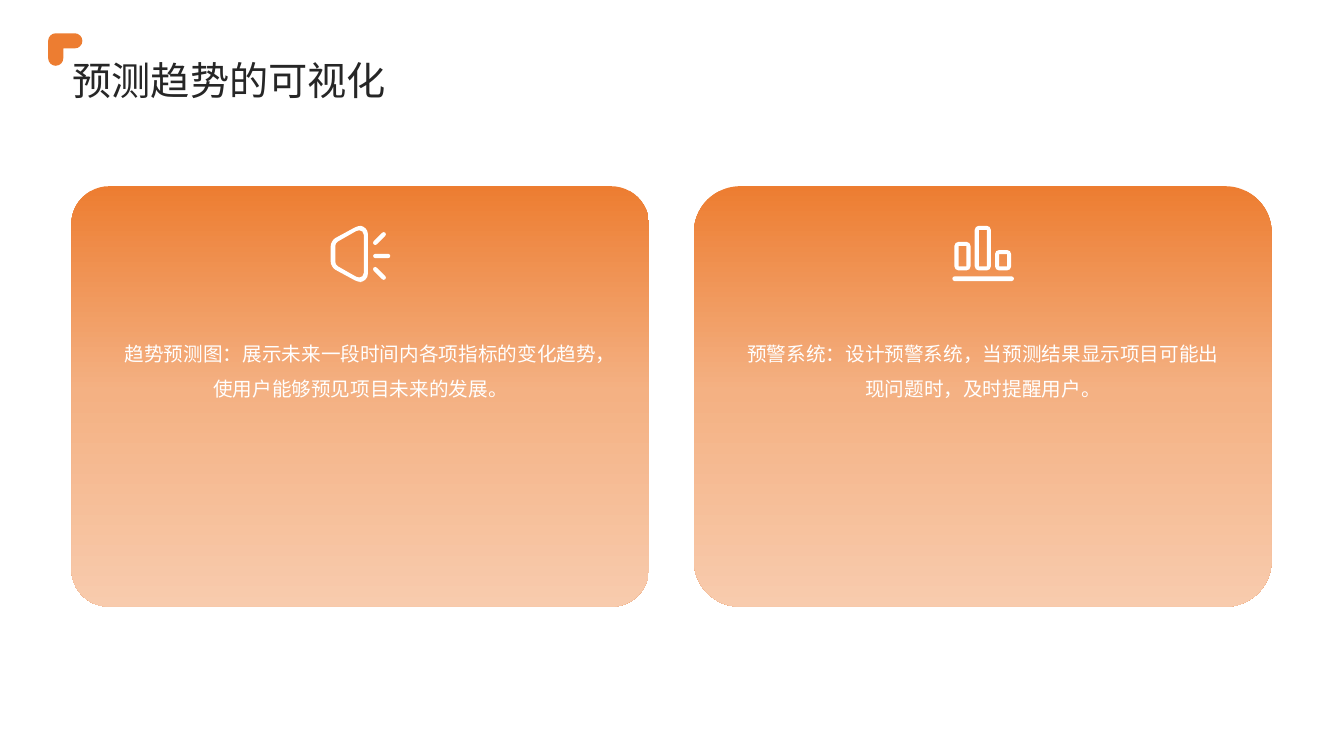
from dataclasses import dataclass
from math import hypot

from lxml.etree import Element, SubElement
from pptx import Presentation
from pptx.dml.color import RGBColor
from pptx.enum.shapes import MSO_SHAPE
from pptx.enum.text import MSO_ANCHOR, PP_ALIGN
from pptx.oxml.ns import qn
from pptx.util import Pt

COLORS = {"accent": "ED7D31", "middle": "F4B183", "pale": "F8CBAD",
          "title": "262626", "white": "FFFFFF"}
GRADIENT = ((0, "accent"), (49, "middle"), (100, "pale"))
FONT = "Noto Sans CJK SC"
KAPPA = 0.55

Point = tuple[float, float]
Corner = tuple[float, float, float]  # x, y, rounding
Outline = list[list[Point]]  # one point: straight step; three points: curve


@dataclass
class Card:
    text: str
    rounding: float
    icon: list[Outline]


@dataclass
class Caption:
    text: str
    left: float
    top: float
    width: float
    height: float
    color: str
    size: float
    frame_format: dict
    paragraph_format: dict


def apply_format(target: object, values: dict) -> None:
    for name, value in values.items():
        setattr(target, name, value)


# Outlines with rounded corners
def toward(corner: Corner, goal: Corner, distance: float) -> Point:
    dx, dy = goal[0] - corner[0], goal[1] - corner[1]
    share = distance / hypot(dx, dy)
    return corner[0] + dx * share, corner[1] + dy * share


def rounded(corners: list[Corner]) -> Outline:
    steps: Outline = []
    for i, corner in enumerate(corners):
        before, after = corners[i - 1], corners[(i + 1) % len(corners)]
        cut = corner[2]
        start = toward(corner, before, cut)
        if not steps or hypot(start[0] - steps[-1][-1][0], start[1] - steps[-1][-1][1]) > 0.05:
            steps.append([start])
        if cut:
            handle = cut * (1 - KAPPA)
            steps.append([toward(corner, before, handle), toward(corner, after, handle),
                          toward(corner, after, cut)])
    return steps


def box(left: float, top: float, right: float, bottom: float, cut: float) -> Outline:
    return rounded([(left, top, cut), (right, top, cut),
                    (right, bottom, cut), (left, bottom, cut)])


def capsule(x1: float, y1: float, x2: float, y2: float, width: float = 3.1) -> Outline:
    half = width / 2
    length = hypot(x2 - x1, y2 - y1)
    dx, dy = (x2 - x1) / length * half, (y2 - y1) / length * half
    return rounded([(x1 - dx - dy, y1 - dy + dx, half), (x1 - dx + dy, y1 - dy - dx, half),
                    (x2 + dx + dy, y2 + dy - dx, half), (x2 + dx - dy, y2 + dy + dx, half)])


def horn(left: float, bend: float, right: float, left_half: float, right_half: float,
         cuts: tuple[float, float, float]) -> Outline:
    middle = 181.4
    upper = [(left, -left_half, cuts[0]), (bend, -right_half, cuts[1]),
             (right, -right_half, cuts[2])]
    lower = [(x, -y, cut) for x, y, cut in reversed(upper)]
    return rounded([(x, middle + y, cut) for x, y, cut in upper + lower])


def speaker_icon() -> list[Outline]:
    ray_y = 182.9
    rays = [capsule(268, ray_y + side * 9.4, 274.1, ray_y + side * 15.5) for side in (-1, 1)]
    return [horn(236.2, 255.7, 262.8, 9.5, 20.1, (4, 2.5, 6)),
            horn(239.5, 255.6, 259.9, 7.8, 17, (2, 1.5, 3.5)),
            capsule(268.1, ray_y, 277.2, ray_y), *rays]


def bar_icon() -> list[Outline]:
    stroke, width, bottom = 2.9, 11.5, 193.2
    outlines = []
    for i, top in enumerate((172.8, 161.3, 178.6)):
        left = 681.8 + i * 14.5
        outlines.append(box(left, top, left + width, bottom, stroke))
        outlines.append(box(left + stroke, top + stroke, left + width - stroke,
                            bottom - stroke, 0))
    return [*outlines, capsule(682, 199.1, 722.6, 199.1, 3.4)]


# Drawing
def draw_outlines(slide, outlines: list[Outline], color: str) -> None:
    ends = [[(Pt(step[-1][0]), Pt(step[-1][1])) for step in outline] for outline in outlines]
    builder = slide.shapes.build_freeform(*ends[0][0])
    for i, points in enumerate(ends):
        if i:
            builder.move_to(*points[0])
        builder.add_line_segments(points[1:], close=True)
    figure = builder.convert_to_shape()
    figure.shadow.inherit = False
    figure.fill.solid()
    figure.fill.fore_color.rgb = RGBColor.from_string(COLORS[color])
    figure.line.fill.background()

    # Turn the rounded steps into Bezier curves
    route = figure._element.spPr.find(".//" + qn("a:pathLst"))[0]
    nodes = [node for node in route if node.tag != qn("a:close")]
    steps = [step for outline in outlines for step in outline]
    for node, step in zip(nodes, steps):
        if len(step) == 3:
            curve = Element(qn("a:cubicBezTo"))
            for x, y in step:
                SubElement(curve, qn("a:pt"), x=str(Pt(x) - figure.left),
                           y=str(Pt(y) - figure.top))
            route.replace(node, curve)


def draw_panel(slide, left: float, rounding: float) -> None:
    panel = slide.shapes.add_shape(MSO_SHAPE.ROUNDED_RECTANGLE,
                                   Pt(left), Pt(133), Pt(412.6), Pt(300.4))
    panel.adjustments[0] = rounding
    panel.shadow.inherit = False
    panel.line.fill.background()
    panel.fill.gradient()
    panel.fill.gradient_angle = 270
    stops = panel._element.spPr.find(".//" + qn("a:gsLst"))
    for stop in list(stops):
        stops.remove(stop)
    for percent, color in GRADIENT:
        stop = SubElement(stops, qn("a:gs"), pos=str(percent * 1000))
        SubElement(stop, qn("a:srgbClr"), val=COLORS[color])


def draw_caption(slide, caption: Caption) -> None:
    frame = slide.shapes.add_textbox(Pt(caption.left), Pt(caption.top),
                                     Pt(caption.width), Pt(caption.height)).text_frame
    apply_format(frame, {"word_wrap": True, **caption.frame_format})
    paragraph = frame.paragraphs[0]
    apply_format(paragraph, caption.paragraph_format)
    run = paragraph.add_run()
    run.text = caption.text
    apply_format(run.font, {"name": FONT, "size": Pt(caption.size)})
    run.font.color.rgb = RGBColor.from_string(COLORS[caption.color])
    SubElement(run._r.get_or_add_rPr(), qn("a:ea"), typeface=FONT)


def main() -> None:
    presentation = Presentation()
    apply_format(presentation, {"slide_width": Pt(960), "slide_height": Pt(540)})
    slide = presentation.slides.add_slide(presentation.slide_layouts[6])

    # Cards
    cards = [
        Card("趋势预测图：展示未来一段时间内各项指标的变化趋势，使用户能够预见项目未来的发展。",
             0.09, speaker_icon()),
        Card("预警系统：设计预警系统，当预测结果显示项目可能出现问题时，及时提醒用户。",
             0.11, bar_icon()),
    ]
    for i, card in enumerate(cards):
        left = 51 + i * 444.7
        draw_panel(slide, left, card.rounding)
        draw_caption(slide, Caption(card.text, left + 26.9, 232.1, 359.3, 177.1, "white", 14, {},
                                    {"alignment": PP_ALIGN.CENTER, "line_spacing": 1.5}))
        draw_outlines(slide, card.icon, "white")

    # Title with its corner mark
    margins = {f"margin_{side}": 0 for side in ("left", "top", "right", "bottom")}
    draw_caption(slide, Caption("预测趋势的可视化", 51.9, 36.7, 840.2, 36.7, "title", 28,
                                {"vertical_anchor": MSO_ANCHOR.MIDDLE, **margins},
                                {"line_spacing": 1.1}))
    corner_mark = rounded([(34.4, 23.8, 5.4), (58.8, 23.8, 5.4), (58.8, 34.6, 5.4),
                           (45.2, 34.6, 0), (45.2, 47, 5.4), (34.4, 47, 5.4)])
    draw_outlines(slide, [corner_mark], "accent")

    presentation.save("out.pptx")


if __name__ == "__main__":
    main()
